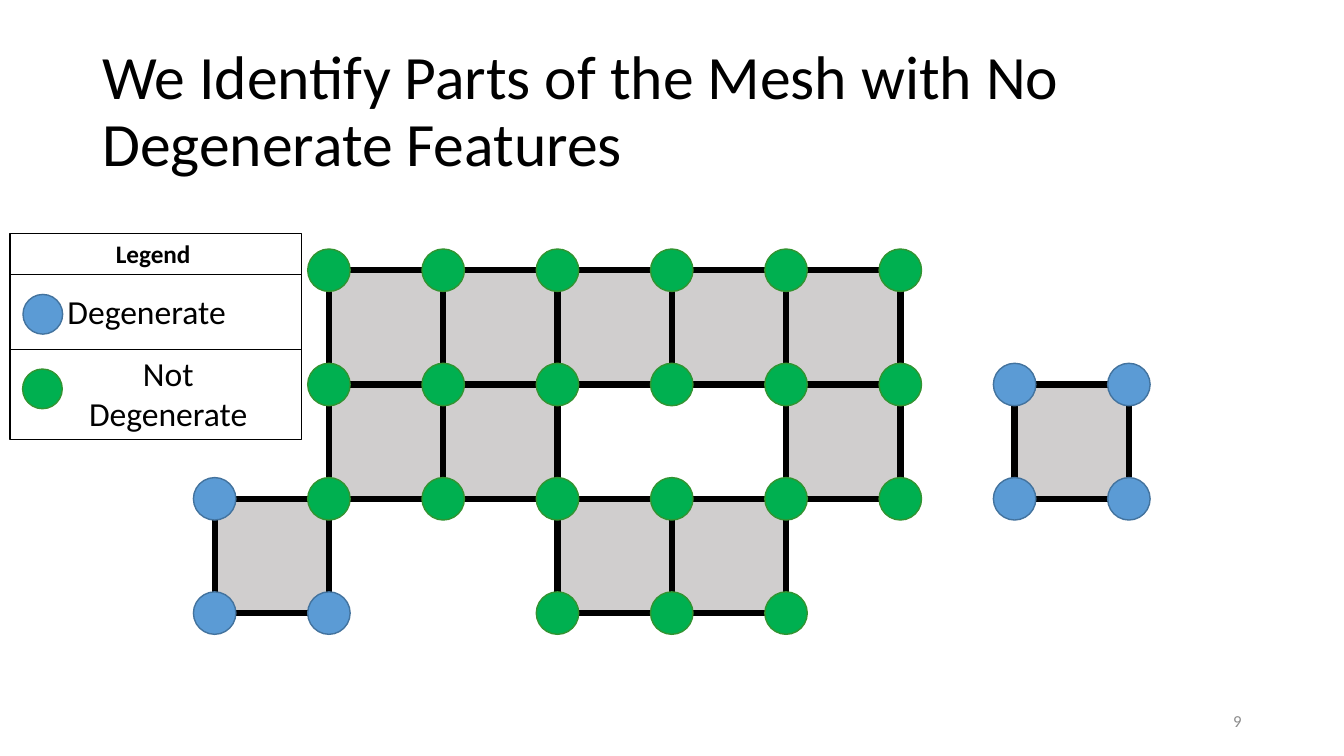
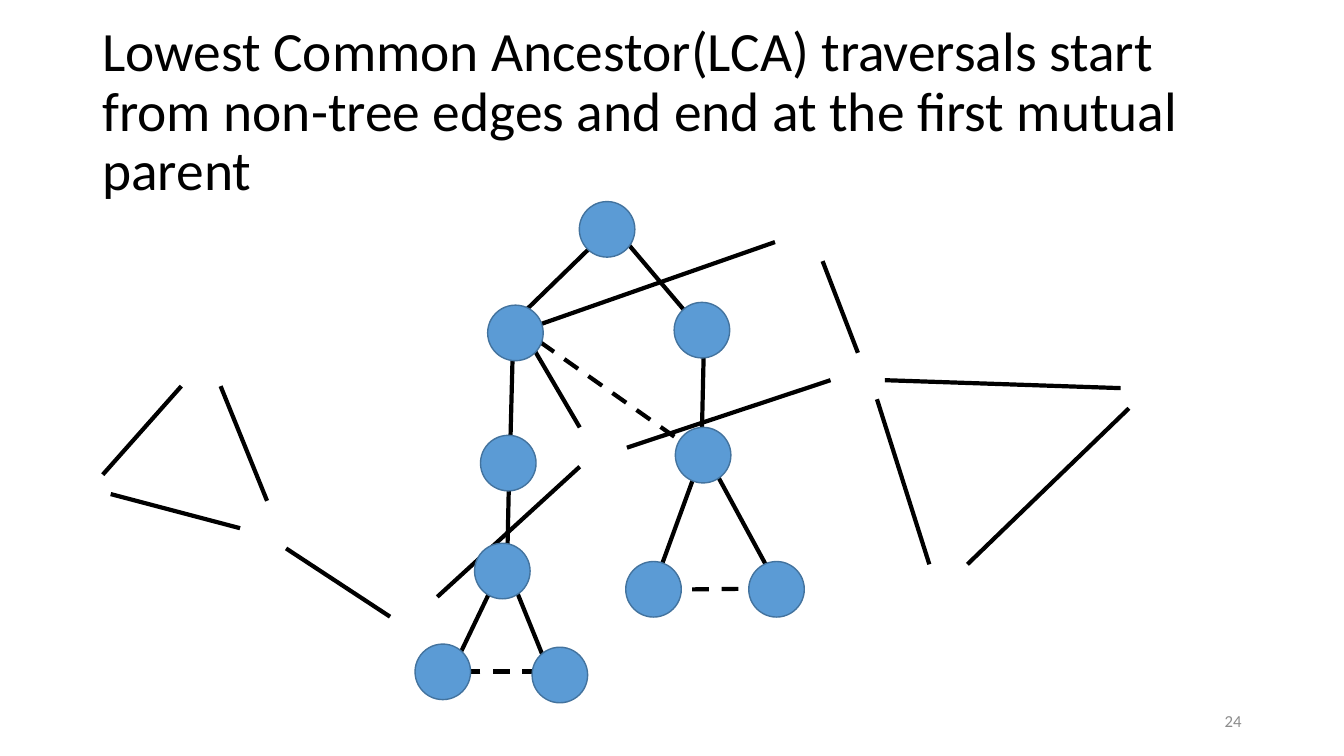
from dataclasses import dataclass
from itertools import product
from typing import NamedTuple, Optional

from lxml.etree import SubElement
from pptx import Presentation
from pptx.dml.color import RGBColor
from pptx.enum.dml import MSO_LINE
from pptx.enum.shapes import MSO_CONNECTOR, MSO_SHAPE
from pptx.enum.text import MSO_ANCHOR, PP_ALIGN
from pptx.oxml.ns import qn
from pptx.slide import Slide
from pptx.util import Cm, Pt


class Paint(NamedTuple):
    fill: Optional[RGBColor]
    outline: RGBColor


@dataclass(frozen=True)
class Theme:
    font: str = "Calibri"
    ink: RGBColor = RGBColor(0x00, 0x00, 0x00)
    muted: RGBColor = RGBColor(0x8C, 0x8C, 0x8C)
    degenerate: Paint = Paint(RGBColor(0x5B, 0x9B, 0xD5), RGBColor(0x43, 0x73, 0x9E))
    regular: Paint = Paint(RGBColor(0x00, 0xB0, 0x50), RGBColor(0x31, 0x94, 0x31))
    face: Paint = Paint(RGBColor(0xD0, 0xCE, 0xCE), RGBColor(0xD0, 0xCE, 0xCE))
    frame: Paint = Paint(None, RGBColor(0x00, 0x00, 0x00))
    title_size: float = 44
    long_title_size: float = 39.6
    legend_size: float = 24
    heading_size: float = 18
    number_size: float = 12
    mesh_edge: float = 4.5
    graph_edge: float = 3
    divider: float = 0.5
    outline: float = 1


THEME = Theme()


class Point(NamedTuple):
    x: float
    y: float


class Box(NamedTuple):
    left: float
    top: float
    width: float
    height: float

    def lengths(self) -> list[Cm]:
        return [Cm(value) for value in self]


class Segment(NamedTuple):
    start: Point
    end: Point


@dataclass(frozen=True)
class Label:
    text: str
    box: Box
    size: float
    color: RGBColor = THEME.ink
    bold: bool = False
    wrap: bool = True
    align: PP_ALIGN = PP_ALIGN.LEFT
    anchor: MSO_ANCHOR = MSO_ANCHOR.TOP
    spacing: float = 1.0


SLIDE_WIDTH, SLIDE_HEIGHT = 33.87, 19.05
TITLE_BOX = Box(2.33, 1.01, 29.21, 3.68)
NUMBER_BOX = Box(23.92, 17.65, 7.62, 1.02)

PITCH = 2.88
MESH_ORIGIN = Point(5.41, 6.81)
MESH_NODE = 1.07
FACES = [(column, 0) for column in range(1, 6)]
FACES += [(1, 1), (2, 1), (5, 1), (7, 1), (0, 2), (3, 2), (4, 2)]
DEGENERATE_NODES = {(0, 2), (0, 3), (1, 3), *product((7, 8), (1, 2))}

LEGEND = Box(0.25, 5.89, 7.35, 5.18)
LEGEND_NODE = 1.0
LEGEND_NODES = [
    (Point(1.08, 7.92), THEME.degenerate),
    (Point(1.07, 9.8), THEME.regular),
]
LEGEND_DIVIDERS = [6.91, 8.81]
LEGEND_LABELS = [
    Label("Legend", Box(2.67, 5.89, 2.41, 1.02), THEME.heading_size, bold=True, wrap=False),
    Label("Degenerate", Box(1.45, 7.21, 4.55, 1.27), THEME.legend_size, wrap=False),
    Label("Not Degenerate", Box(1.44, 8.76, 5.6, 2.31), THEME.legend_size,
          align=PP_ALIGN.CENTER),
]

TREE_NODE = 1.4
TREE_NODES = [
    Point(15.3, 5.78),
    Point(12.99, 8.39), Point(17.69, 8.32),
    Point(12.81, 11.67), Point(17.72, 11.47),
    Point(12.66, 14.39), Point(16.47, 14.85), Point(19.57, 14.85),
    Point(11.16, 16.93), Point(14.11, 17.01),
]
GRAPH_EDGES = [
    Segment(Point(13.59, 8.18), Point(19.53, 6.1)),
    Segment(Point(13.39, 8.69), Point(14.61, 10.77)),
    Segment(Point(14.61, 11.76), Point(11.02, 15.04)),
    Segment(Point(20.73, 6.58), Point(21.62, 8.89)),
    Segment(Point(22.3, 9.58), Point(28.24, 9.78)),
    Segment(Point(28.45, 10.29), Point(24.38, 14.22)),
    Segment(Point(15.8, 11.28), Point(20.93, 9.58)),
    Segment(Point(22.1, 10.06), Point(23.42, 14.22)),
    Segment(Point(2.59, 11.96), Point(4.57, 9.73)),
    Segment(Point(2.79, 12.45), Point(6.05, 13.31)),
    Segment(Point(6.73, 12.62), Point(5.56, 9.73)),
    Segment(Point(7.21, 13.82), Point(9.83, 15.54)),
]
TREE_EDGES = [
    Segment(Point(17.68, 11.28), Point(17.75, 8.18)),
    Segment(Point(15.44, 5.69), Point(17.55, 8.18)),
    Segment(Point(15.44, 5.69), Point(12.88, 8.18)),
    Segment(Point(17.7, 11.43), Point(16.46, 14.83)),
    Segment(Point(17.78, 11.43), Point(19.56, 14.71)),
    Segment(Point(12.78, 14.22), Point(12.83, 11.94)),
    Segment(Point(12.6, 14.38), Point(11.38, 16.92)),
    Segment(Point(13.84, 16.92), Point(12.85, 14.48)),
    Segment(Point(12.85, 11.61), Point(12.93, 8.51)),
]
NON_TREE_EDGES = [
    Segment(Point(17.6, 11.43), Point(13.06, 8.23)),
    Segment(Point(19.35, 14.83), Point(16.71, 14.86)),
    Segment(Point(13.59, 16.92), Point(11.68, 16.92)),
]


def add_label(slide: Slide, label: Label) -> None:
    frame = slide.shapes.add_textbox(*label.box.lengths()).text_frame
    frame.word_wrap = label.wrap
    frame.vertical_anchor = label.anchor
    paragraph = frame.paragraphs[0]
    paragraph.text = label.text
    paragraph.alignment = label.align
    paragraph.line_spacing = label.spacing
    font = paragraph.font
    font.name, font.size, font.bold = THEME.font, Pt(label.size), label.bold
    font.color.rgb = label.color


def add_figure(slide: Slide, kind: MSO_SHAPE, box: Box, paint: Paint) -> None:
    figure = slide.shapes.add_shape(kind, *box.lengths())
    figure.shadow.inherit = False
    if paint.fill is None:
        figure.fill.background()
    else:
        figure.fill.solid()
        figure.fill.fore_color.rgb = paint.fill
    figure.line.color.rgb = paint.outline
    figure.line.width = Pt(THEME.outline)


def add_node(slide: Slide, center: Point, diameter: float, paint: Paint) -> None:
    radius = diameter / 2
    box = Box(center.x - radius, center.y - radius, diameter, diameter)
    add_figure(slide, MSO_SHAPE.OVAL, box, paint)


def add_edge(slide: Slide, segment: Segment, weight: float, dashed: bool = False) -> None:
    ends = [Cm(value) for point in segment for value in point]
    edge = slide.shapes.add_connector(MSO_CONNECTOR.STRAIGHT, *ends)
    edge.line.color.rgb = THEME.ink
    edge.line.width = Pt(weight)
    if dashed:
        edge.line.dash_style = MSO_LINE.DASH
    SubElement(edge._element.spPr, qn("a:effectLst"))


def add_page(deck: Presentation, title: str, title_size: float, number: int) -> Slide:
    slide = deck.slides.add_slide(deck.slide_layouts[6])
    add_label(slide, Label(title, TITLE_BOX, title_size,
                           anchor=MSO_ANCHOR.MIDDLE, spacing=0.9))
    add_label(slide, Label(str(number), NUMBER_BOX, THEME.number_size, THEME.muted,
                           align=PP_ALIGN.RIGHT, anchor=MSO_ANCHOR.MIDDLE))
    return slide


def mesh_point(column: int, row: int) -> Point:
    return Point(MESH_ORIGIN.x + column * PITCH, MESH_ORIGIN.y + row * PITCH)


def draw_mesh(slide: Slide) -> None:
    corners, edges = set(), set()
    for column, row in FACES:
        add_figure(slide, MSO_SHAPE.RECTANGLE,
                   Box(*mesh_point(column, row), PITCH, PITCH), THEME.face)
        top_left, top_right = (column, row), (column + 1, row)
        bottom_left, bottom_right = (column, row + 1), (column + 1, row + 1)
        corners |= {top_left, top_right, bottom_left, bottom_right}
        edges |= {(top_left, top_right), (bottom_left, bottom_right),
                  (top_left, bottom_left), (top_right, bottom_right)}
    for start, end in sorted(edges):
        add_edge(slide, Segment(mesh_point(*start), mesh_point(*end)), THEME.mesh_edge)
    for corner in sorted(corners):
        paint = THEME.degenerate if corner in DEGENERATE_NODES else THEME.regular
        add_node(slide, mesh_point(*corner), MESH_NODE, paint)


def draw_legend(slide: Slide) -> None:
    add_figure(slide, MSO_SHAPE.RECTANGLE, LEGEND, THEME.frame)
    for y in LEGEND_DIVIDERS:
        divider = Segment(Point(LEGEND.left, y), Point(LEGEND.left + LEGEND.width, y))
        add_edge(slide, divider, THEME.divider)
    for center, paint in LEGEND_NODES:
        add_node(slide, center, LEGEND_NODE, paint)
    for label in LEGEND_LABELS:
        add_label(slide, label)


def draw_tree(slide: Slide) -> None:
    for segment in GRAPH_EDGES + TREE_EDGES:
        add_edge(slide, segment, THEME.graph_edge)
    for segment in NON_TREE_EDGES:
        add_edge(slide, segment, THEME.graph_edge, dashed=True)
    for center in TREE_NODES:
        add_node(slide, center, TREE_NODE, THEME.degenerate)


def main() -> None:
    deck = Presentation()
    deck.slide_width, deck.slide_height = Cm(SLIDE_WIDTH), Cm(SLIDE_HEIGHT)
    mesh_page = add_page(deck, "We Identify Parts of the Mesh with No Degenerate Features",
                         THEME.title_size, 9)
    draw_mesh(mesh_page)
    draw_legend(mesh_page)
    tree_page = add_page(deck, "Lowest Common Ancestor(LCA) traversals start from non-tree "
                         "edges and end at the first mutual parent",
                         THEME.long_title_size, 24)
    draw_tree(tree_page)
    deck.save("out.pptx")


if __name__ == "__main__":
    main()
